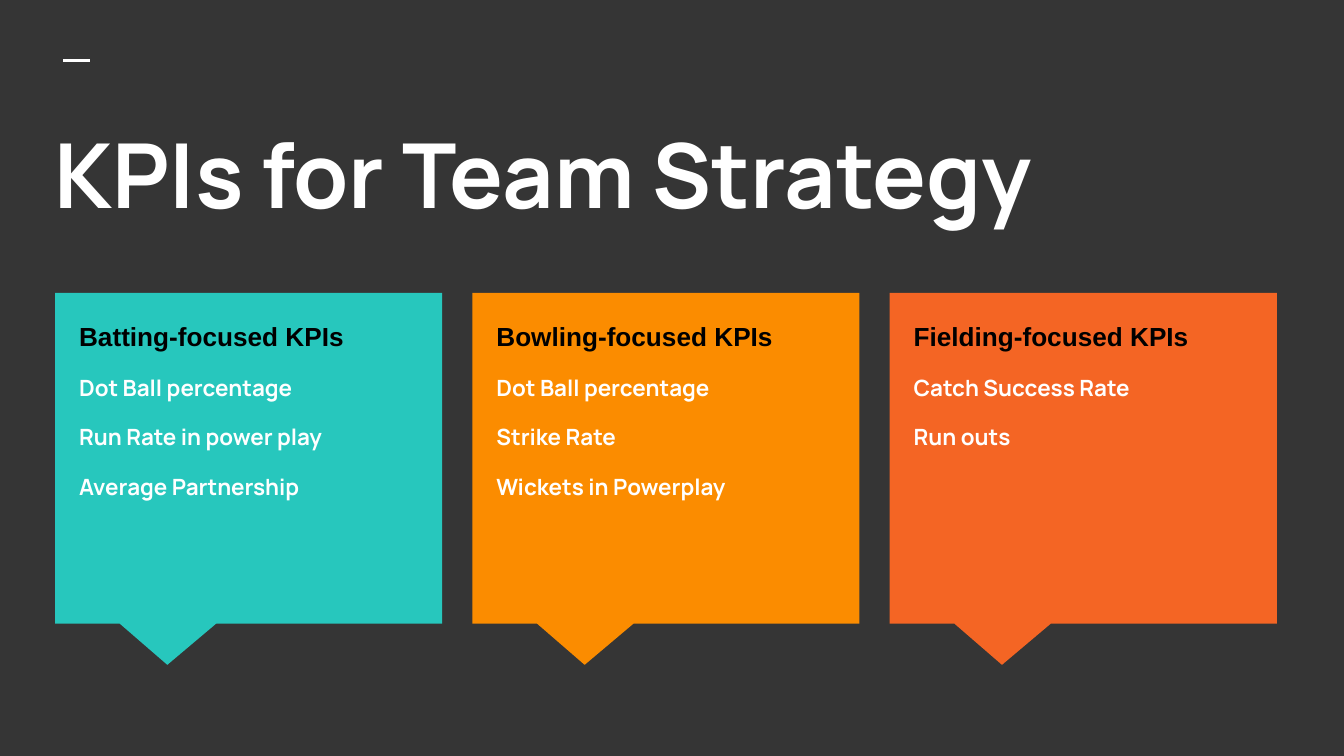
import pptx
import pptx.util
import pptx.dml.color
import pptx.enum.shapes
import pptx.enum.text
from lxml import etree
from pptx.util import Inches, Pt

TITLE = "KPIs for Team Strategy"
CARDS = [
    ("Batting-focused KPIs", "27C7BD",
     ["Dot Ball percentage", "Run Rate in power play", "Average Partnership"]),
    ("Bowling-focused KPIs", "FB8C00",
     ["Dot Ball percentage", "Strike Rate", "Wickets in Powerplay"]),
    ("Fielding-focused KPIs", "F46524",
     ["Catch Success Rate", "Run outs"]),
]
BACKGROUND, WHITE, BLACK = "353535", "FFFFFF", "000000"
SLIDE_WIDTH = 10
CARD_LEFT, CARD_TOP, CARD_WIDTH, CARD_HEIGHT = 0.41, 2.18, 2.88, 2.46
CARDS_RIGHT = 9.5
CARD_STEP = (CARDS_RIGHT - CARD_WIDTH - CARD_LEFT) / (len(CARDS) - 1)
TEXT_INSET = 0.08


def paint(color_format, value):
    color_format.rgb = pptx.dml.color.RGBColor.from_string(value)


def add_box(slide, left, top, width, height):
    frame = slide.shapes.add_textbox(
        Inches(left), Inches(top), Inches(width), Inches(height)).text_frame
    frame.word_wrap = True
    frame.margin_left = frame.margin_right = Inches(0.1)
    frame.margin_top = frame.margin_bottom = Inches(0.1)
    return frame


def add_run(paragraph, text, size, font, color):
    run = paragraph.add_run()
    run.text = text
    run.font.size = Pt(size)
    run.font.name = font
    run.font.bold = True
    paint(run.font.color, color)


def add_accent(slide):
    accent = slide.shapes.add_connector(
        pptx.enum.shapes.MSO_CONNECTOR.STRAIGHT,
        Inches(0.47), Inches(0.45), Inches(0.67), Inches(0.45))
    paint(accent.line.color, WHITE)
    accent.line.width = Pt(1.5)
    etree.SubElement(accent._element.spPr, pptx.oxml.ns.qn("a:effectLst"))


def add_card(slide, left, heading, color, kpis):
    callout = slide.shapes.add_shape(
        pptx.enum.shapes.MSO_SHAPE.RECTANGULAR_CALLOUT,
        Inches(left), Inches(CARD_TOP), Inches(CARD_WIDTH), Inches(CARD_HEIGHT))
    callout.adjustments[0] = -0.21
    callout.adjustments[1] = 0.625
    callout.shadow.inherit = False
    callout.fill.solid()
    paint(callout.fill.fore_color, color)
    callout.line.fill.background()

    frame = add_box(slide, left + TEXT_INSET, 2.25, 2.71, 2.19)
    frame.paragraphs[0].line_spacing = 1.15
    add_run(frame.paragraphs[0], heading, 14, "Arial", BLACK)
    for kpi in kpis:
        paragraph = frame.add_paragraph()
        paragraph.space_before = Pt(12)
        add_run(paragraph, kpi, 12, "Manrope", WHITE)


def main():
    deck = pptx.Presentation()
    deck.slide_width = Inches(SLIDE_WIDTH)
    deck.slide_height = Inches(SLIDE_WIDTH * 9 / 16)
    slide = deck.slides.add_slide(deck.slide_layouts[6])
    slide.background.fill.solid()
    paint(slide.background.fill.fore_color, BACKGROUND)

    add_accent(slide)
    title = add_box(slide, 0.31, 0.78, 9.43, 1.12)
    title.vertical_anchor = pptx.enum.text.MSO_ANCHOR.MIDDLE
    title.paragraphs[0].line_spacing = 0.87
    add_run(title.paragraphs[0], TITLE, 48, "Manrope", WHITE)
    for index, (heading, color, kpis) in enumerate(CARDS):
        add_card(slide, CARD_LEFT + index * CARD_STEP, heading, color, kpis)

    deck.save("out.pptx")


if __name__ == "__main__":
    main()
